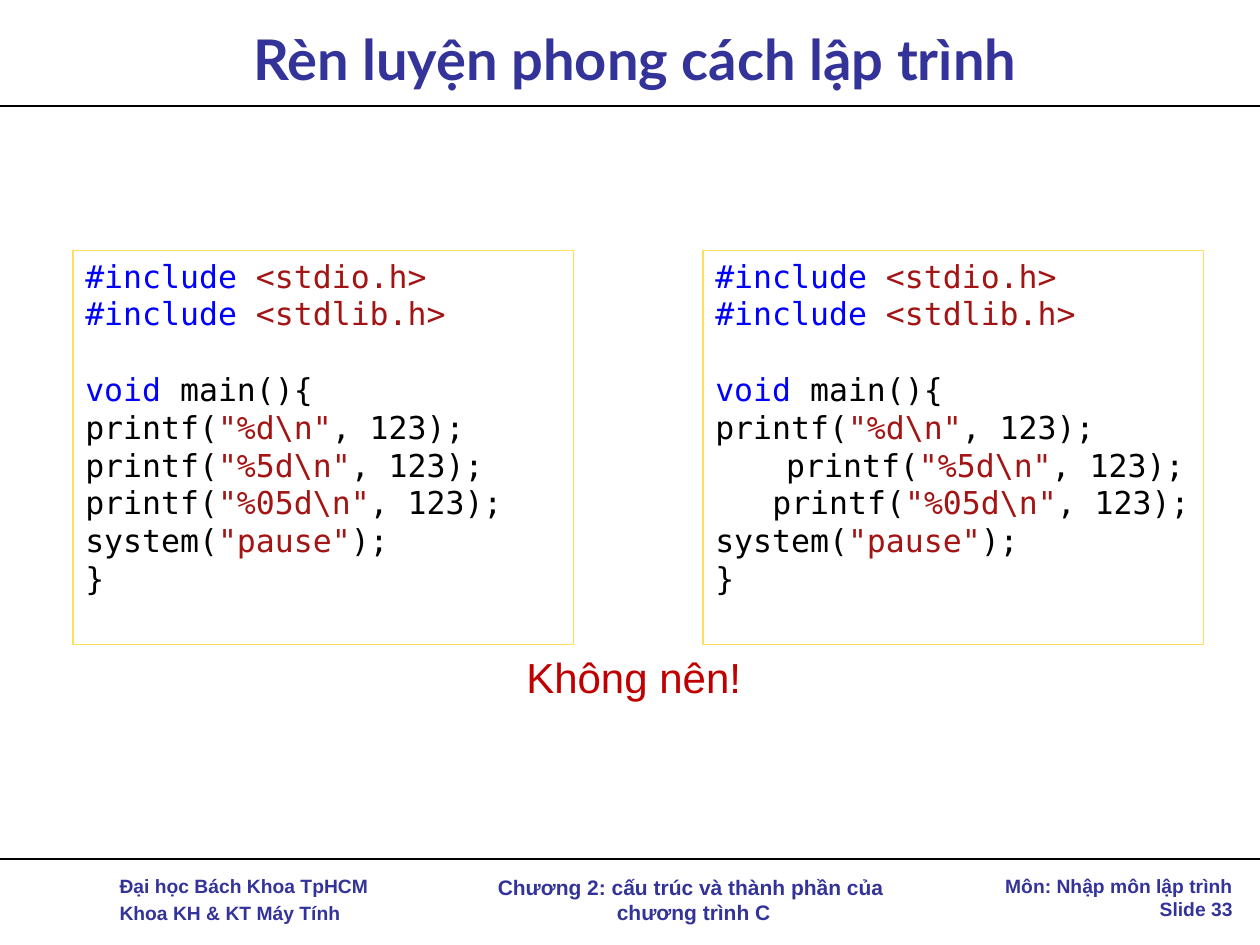
from lxml.etree import SubElement
from pptx import Presentation
from pptx.dml.color import RGBColor
from pptx.enum.shapes import MSO_CONNECTOR, MSO_SHAPE
from pptx.enum.text import MSO_ANCHOR, PP_ALIGN
from pptx.oxml.ns import qn
from pptx.util import Cm, Pt

NAVY, BLACK, BLUE, RED = "333399", "000000", "0000FF", "A31515"
WIDE = 25.4


def color(code):
    return RGBColor.from_string(code)


class Deck:
    sans = "Arial"
    mono = "DejaVu Sans Mono"
    pitch = Pt(21.6)

    def __init__(self):
        self.file = Presentation()
        self.file.slide_width, self.file.slide_height = Cm(WIDE), Cm(19.05)
        self.slide = self.file.slides.add_slide(self.file.slide_layouts[6])

    def font(self, para, name, size, bold=False):
        para.font.name, para.font.size, para.font.bold = name, Pt(size), bold

    def text(self, place, lines, size, tint=NAVY, bold=True, align=PP_ALIGN.LEFT,
             name=sans, gap=0, wrap=True, anchor=MSO_ANCHOR.TOP):
        frame = self.slide.shapes.add_textbox(*map(Cm, place)).text_frame
        frame.word_wrap, frame.vertical_anchor = wrap, anchor
        for i, line in enumerate(lines):
            para = frame.add_paragraph() if i else frame.paragraphs[0]
            para.text, para.alignment = line, align
            self.font(para, name, size, bold)
            para.font.color.rgb = color(tint)
            if i:
                para.space_before = Pt(gap)

    def rule(self, y):
        line = self.slide.shapes.add_connector(
            MSO_CONNECTOR.STRAIGHT, Cm(0), Cm(y), Cm(WIDE), Cm(y))
        line.line.color.rgb, line.line.width = color(BLACK), Pt(1)
        SubElement(line._element.spPr, qn("a:effectLst"))

    def code(self, place, lines, shifts):
        box = self.slide.shapes.add_shape(MSO_SHAPE.RECTANGLE, *map(Cm, place))
        box.shadow.inherit = False
        box.fill.background()
        box.line.color.rgb, box.line.width = color("FEDF59"), Pt(0.75)
        frame = box.text_frame
        frame.word_wrap, frame.vertical_anchor = True, MSO_ANCHOR.TOP
        for i, parts in enumerate(lines):
            para = frame.add_paragraph() if i else frame.paragraphs[0]
            para.alignment, para.line_spacing = PP_ALIGN.LEFT, self.pitch
            self.font(para, self.mono, 18)
            if parts[0][0] == "void":
                para.space_before = self.pitch
            if i in shifts:
                para._p.get_or_add_pPr().set("marL", str(Cm(shifts[i])))
            for words, tint in parts:
                run = para.add_run()
                run.text, run.font.color.rgb = words, color(tint)

    def save(self):
        self.file.save("out.pptx")


def load(head):
    return [("#include ", BLUE), (head, RED)]


def call(name, value, tail):
    return [(name + "(", BLACK), (f'"{value}"', RED), (tail, BLACK)]


def main():
    deck = Deck()
    deck.text((2.16, 17.5, 5.92, 1.3),
              ["Đại học Bách Khoa TpHCM", "Khoa KH & KT Máy Tính"], 11, gap=2.2)
    deck.text((19.89, 17.5, 5.21, 1.19),
              ["Môn: Nhập môn lập trình", "Slide 33"], 11, align=PP_ALIGN.RIGHT)
    deck.text((8.08, 17.5, 11.81, 1.27),
              ["Chương 2: cấu trúc và thành phần của ", "chương trình C"],
              12, align=PP_ALIGN.CENTER)
    for y in (17.32, 2.13):
        deck.rule(y)
    deck.text((0.84, 0.2, 23.93, 1.93), ["Rèn luyện phong cách lập trình"], 32,
              align=PP_ALIGN.CENTER, name="Lato", anchor=MSO_ANCHOR.MIDDLE)

    lines = [load("<stdio.h>"), load("<stdlib.h>"),
             [("void", BLUE), (" main(){", BLACK)]]
    lines += [call("printf", f"%{width}d\\n", ", 123);") for width in ("", "5", "05")]
    lines += [call("system", "pause", ");"), [("}", BLACK)]]
    for x, shifts in ((1.47, {}), (14.17, {4: 1.43, 5: 1.15})):
        deck.code((x, 5.05, 10.1, 7.95), lines, shifts)

    deck.text((10.36, 13, 4.85, 1.27), ["Không nên!"], 24, "C00000", False, wrap=False)
    deck.save()


if __name__ == "__main__":
    main()
